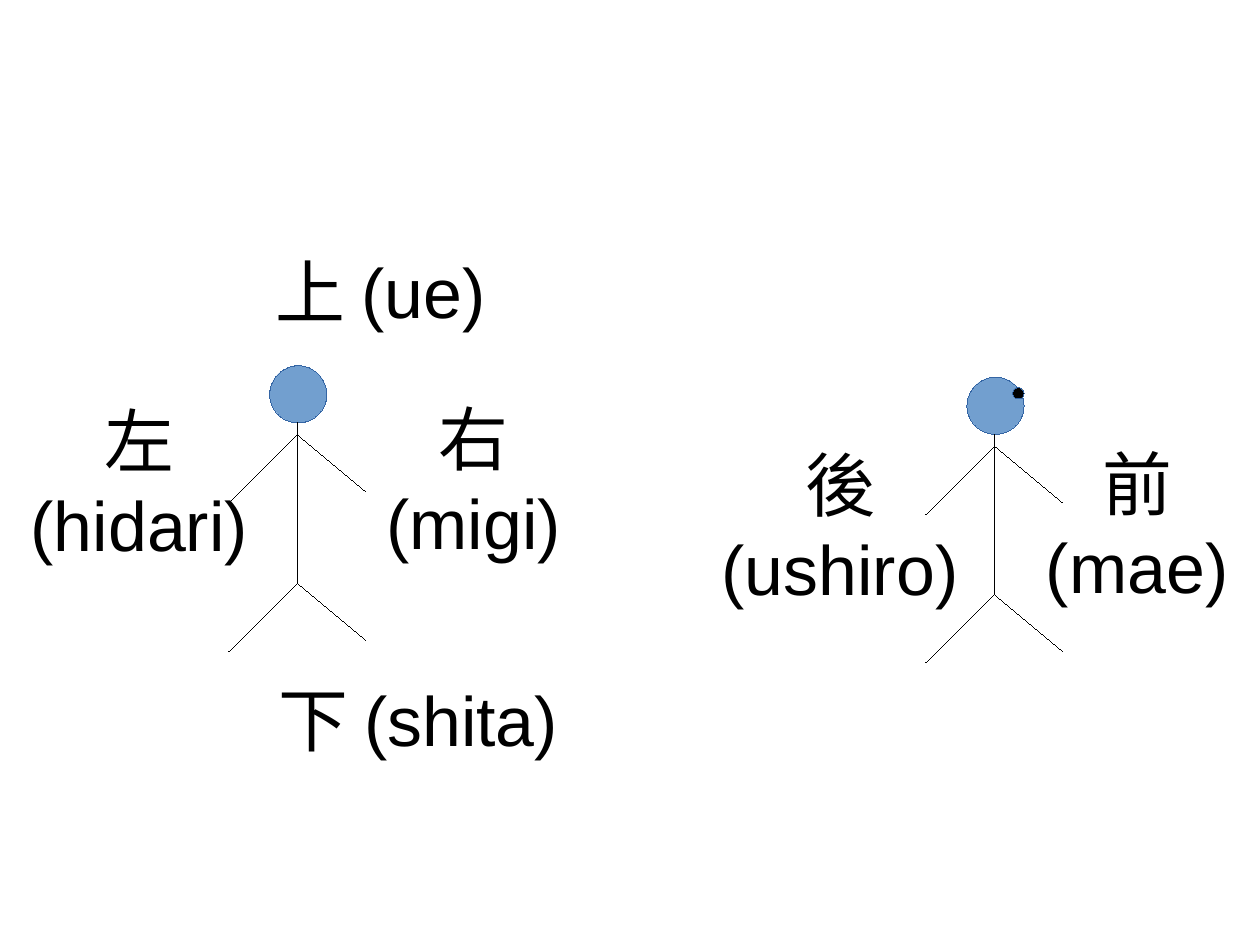
from lxml import etree
from pptx import Presentation
from pptx.dml.color import RGBColor
from pptx.enum.shapes import MSO_CONNECTOR, MSO_SHAPE
from pptx.enum.text import MSO_ANCHOR, MSO_AUTO_SIZE, PP_ALIGN
from pptx.oxml.ns import qn
from pptx.util import Cm, Pt

OVAL = MSO_SHAPE.OVAL
STRAIGHT = MSO_CONNECTOR.STRAIGHT
CENTER = PP_ALIGN.CENTER
MIDDLE = MSO_ANCHOR.MIDDLE
FIXED_SIZE = MSO_AUTO_SIZE.NONE
TITLE_ONLY = 5

PX = 9144  # EMU, 100 px to the inch
SLIDE_SIZE = (Cm(28), Cm(21))
COLORS = {"head": "729FCF", "outline": "3465A4", "ink": "000000"}
FONT, TEXT_SIZE = "Arial", Pt(44)
HAIRLINE = Pt(0.01)

# Text, then left, top, width, height; the first one is the slide title
LABELS = [
    ("上 (ue)", (218, 209, 230, 91)),
    ("下 (shita)", (224, 575, 284, 107)),
    ("右 (migi)", (309, 340, 211, 159)),
    ("左 (hidari)", (7, 342, 230, 159)),
    ("前 (mae)", (880, 379, 230, 159)),
    ("後 (ushiro)", (620, 380, 230, 159)),
]

# Neck position of the front view and the side view
FRONT_NECK, SIDE_NECK = (260, 370), (870, 380)

# Measured from the neck
HEAD = (-24, -50, 50)
EYE = (16, -41, 10)
SHOULDER, HIP = (0, 10), (0, 140)
LIMBS = [((0, 0), HIP)]
for joint_x, joint_y in (SHOULDER, HIP):
    for reach, drop in ((-60, 60), (60, 50)):
        LIMBS.append(((joint_x + reach, joint_y + drop), (joint_x, joint_y)))


def color(name):
    return RGBColor.from_string(COLORS[name])


def emu(*lengths):
    return [length * PX for length in lengths]


def set_line(shape, name):
    shape.line.color.rgb = color(name)
    shape.line.width = HAIRLINE


def add_disc(slide, neck, disc, fill):
    dx, dy, size = disc
    shape = slide.shapes.add_shape(OVAL, *emu(neck[0] + dx, neck[1] + dy, size, size))
    shape.shadow.inherit = False
    shape.fill.solid()
    shape.fill.fore_color.rgb = color(fill)
    set_line(shape, "outline")


def add_figure(slide, neck):
    """Draw a stick figure whose neck is at the given point."""
    x, y = neck
    add_disc(slide, neck, HEAD, "head")
    for (x1, y1), (x2, y2) in LIMBS:
        limb = slide.shapes.add_connector(STRAIGHT, *emu(x + x1, y + y1, x + x2, y + y2))
        set_line(limb, "ink")
        etree.SubElement(limb._element.spPr, qn("a:effectLst"))


def write_label(box, text, place):
    box.left, box.top, box.width, box.height = emu(*place)
    frame = box.text_frame
    frame.margin_left = frame.margin_right = frame.margin_top = frame.margin_bottom = 0
    frame.word_wrap = True
    frame.auto_size = FIXED_SIZE
    frame.vertical_anchor = MIDDLE
    para = frame.paragraphs[0]
    para.text = text
    para.alignment = CENTER
    para.font.name = FONT
    para.font.size = TEXT_SIZE
    para.font.color.rgb = color("ink")


def main():
    deck = Presentation()
    deck.slide_width, deck.slide_height = SLIDE_SIZE
    page = deck.slides.add_slide(deck.slide_layouts[TITLE_ONLY])
    for neck in (FRONT_NECK, SIDE_NECK):
        add_figure(page, neck)
    add_disc(page, SIDE_NECK, EYE, "ink")
    for index, (text, place) in enumerate(LABELS):
        box = page.shapes.add_textbox(*emu(*place)) if index else page.shapes.title
        write_label(box, text, place)
    deck.save("out.pptx")


if __name__ == "__main__":
    main()
